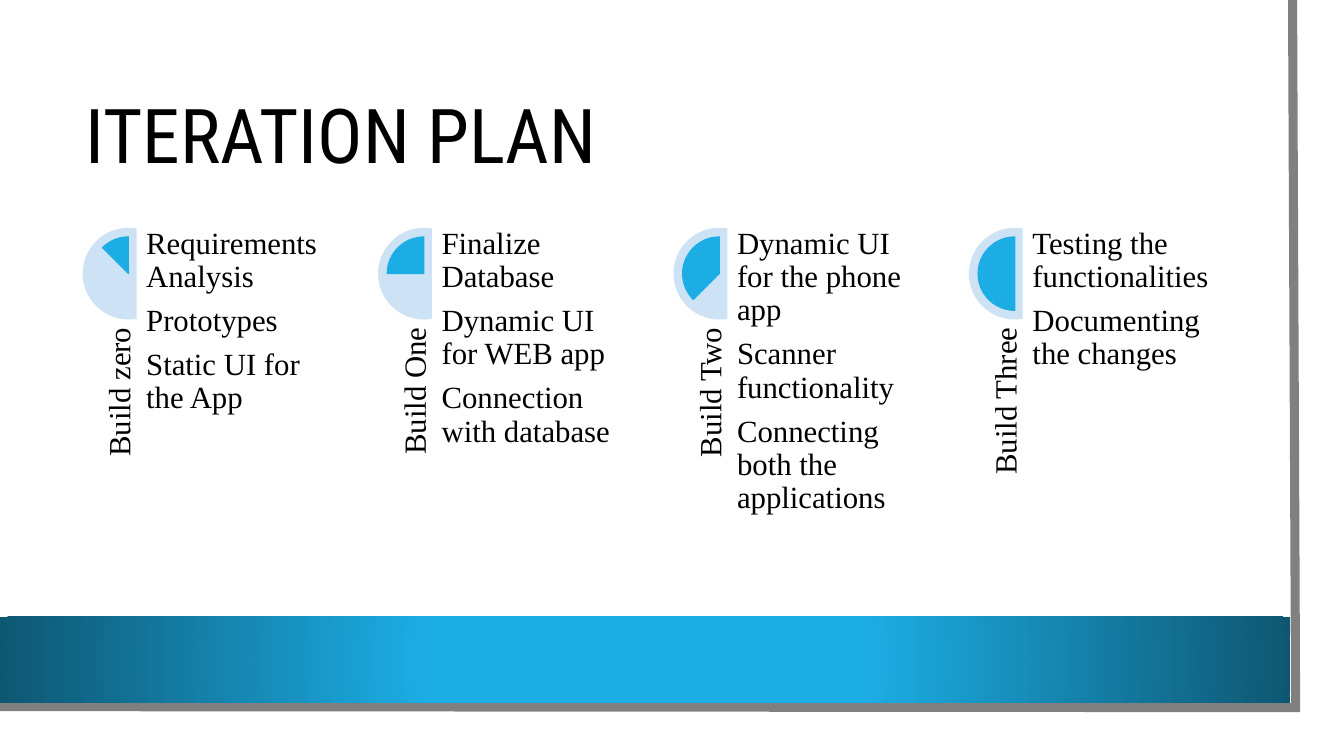
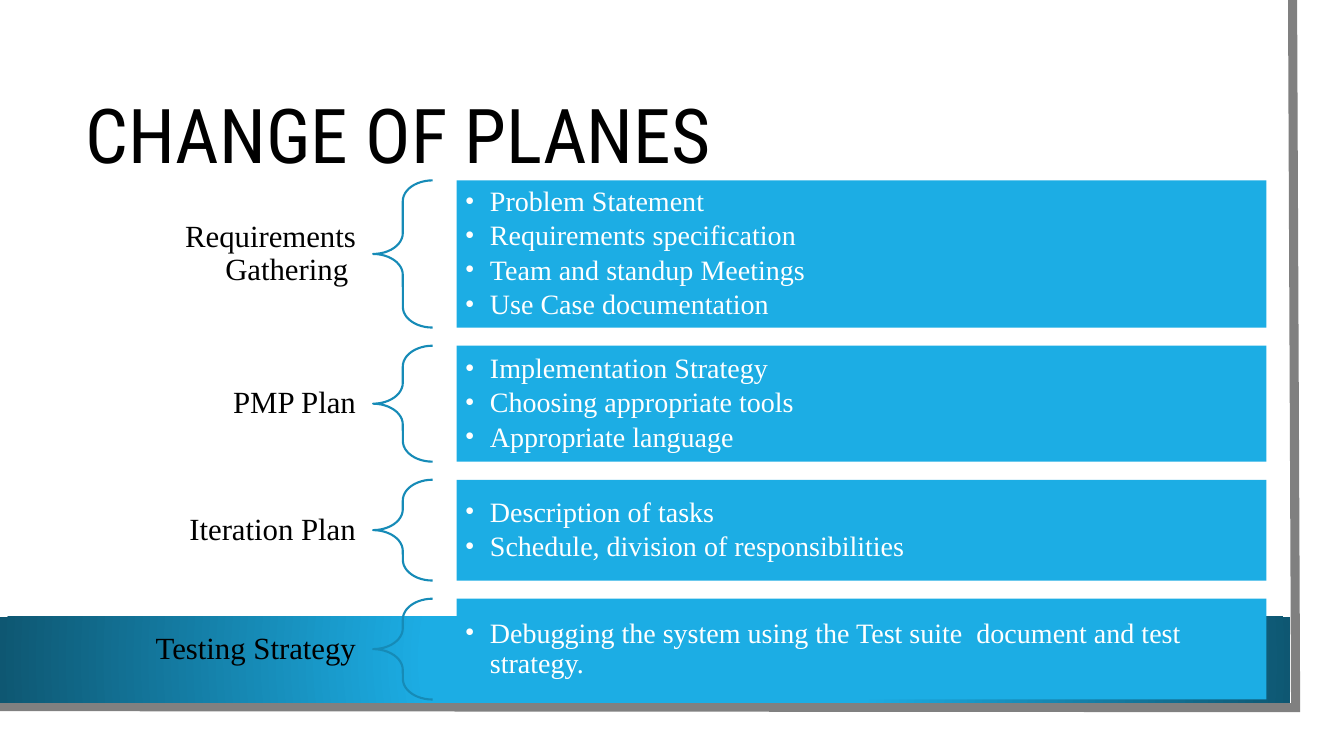
from lxml import etree
from pptx import Presentation
from pptx.dml.color import RGBColor
from pptx.enum.shapes import MSO_SHAPE
from pptx.enum.text import MSO_ANCHOR, MSO_AUTO_SIZE, PP_ALIGN
from pptx.oxml.ns import qn
from pptx.util import Inches, Pt

COLORS = {
    "page": "FFFFFF", "text": "000000", "light_text": "FFFFFF",
    "accent": "1CADE4", "accent_dark": "0E5772", "accent_pale": "CDE3F5",
    "brace": "168BB7", "frame": "808080",
}
TITLE_FONT = "Roboto Condensed"
BODY_FONT = "Times New Roman"

# Text styles: size in points, space after as a share of the size
TITLE = {"font": TITLE_FONT, "size": 54, "color": "text", "after": 0,
         "align": PP_ALIGN.LEFT, "bullet": False}
BODY = {"font": BODY_FONT, "size": 22, "color": "text", "after": 0.35,
        "align": PP_ALIGN.LEFT, "bullet": False}
LABEL = {**BODY, "align": PP_ALIGN.RIGHT}
BULLETS = {**BODY, "size": 20, "color": "light_text", "after": 0.15, "bullet": True}

BUILDS = [
    ("Build zero", ["Requirements Analysis", "Prototypes", "Static UI for the App"]),
    ("Build One", ["Finalize Database", "Dynamic UI for WEB app",
                   "Connection with database"]),
    ("Build Two", ["Dynamic UI for the phone app", "Scanner functionality",
                   "Connecting both the applications"]),
    ("Build Three", ["Testing the functionalities", "Documenting the changes"]),
]
PLANS = [
    ("Requirements Gathering ", 1.46,
     ["Problem Statement", "Requirements specification",
      "Team and standup Meetings", "Use Case documentation"]),
    ("PMP Plan", 1.15,
     ["Implementation Strategy", "Choosing appropriate tools", "Appropriate language"]),
    ("Iteration Plan", 1,
     ["Description of tasks", "Schedule, division of responsibilities"]),
    ("Testing Strategy", 1,
     ["Debugging the system using the Test suite  document and test strategy."]),
]


def rgb(name):
    return RGBColor.from_string(COLORS[name])


def set_attributes(target, values):
    for name, value in values.items():
        setattr(target, name, value)


def box_lengths(*values):
    return [Inches(value) for value in values]


def add_bullet(paragraph):
    properties = paragraph._p.get_or_add_pPr()
    properties.set("marL", str(Inches(0.25)))
    properties.set("indent", str(Inches(-0.25)))
    etree.SubElement(properties, qn("a:buFont")).set("typeface", BODY_FONT)
    etree.SubElement(properties, qn("a:buChar")).set("char", "•")


def write_text(shape, lines, style, anchor=MSO_ANCHOR.TOP, insets=(0, 0)):
    """Fill a shape with one paragraph per line; insets are (sides, top and bottom)."""
    frame = shape.text_frame
    side, edge = box_lengths(*insets)
    set_attributes(frame, {
        "word_wrap": True, "auto_size": MSO_AUTO_SIZE.NONE, "vertical_anchor": anchor,
        "margin_left": side, "margin_right": side,
        "margin_top": edge, "margin_bottom": edge})
    for index, line in enumerate(lines):
        paragraph = frame.add_paragraph() if index else frame.paragraphs[0]
        set_attributes(paragraph, {
            "alignment": style["align"], "line_spacing": 0.9, "space_before": Pt(0),
            "space_after": Pt(style["size"] * style["after"])})
        run = paragraph.add_run()
        run.text = line
        set_attributes(run.font, {"name": style["font"], "size": Pt(style["size"])})
        run.font.color.rgb = rgb(style["color"])
        if style["bullet"]:
            add_bullet(paragraph)


def add_text(slide, box, lines, style, **options):
    shape = slide.shapes.add_textbox(*box_lengths(*box))
    write_text(shape, lines, style, **options)
    return shape


def paint(shape, fill=None, line=None, width=0.75):
    shape.shadow.inherit = False
    if fill:
        shape.fill.solid()
        shape.fill.fore_color.rgb = rgb(fill)
    else:
        shape.fill.background()
    if line:
        shape.line.color.rgb = rgb(line)
        shape.line.width = Pt(width)
    else:
        shape.line.fill.background()


def add_shape(slide, kind, box, adjustments=(), **colors):
    shape = slide.shapes.add_shape(kind, *box_lengths(*box))
    for index, value in enumerate(adjustments):
        shape.adjustments[index] = value
    paint(shape, **colors)
    return shape


def apply_radial_gradient(shape):
    fill = shape.fill
    fill.gradient()
    stops = [(0.34, "accent"), (1, "accent_dark")]
    for stop, (position, color) in zip(fill.gradient_stops, stops):
        stop.position = position
        stop.color.rgb = rgb(color)
    linear = shape.element.spPr.find(".//" + qn("a:lin"))
    radial = etree.Element(qn("a:path"))
    radial.set("path", "circle")
    center = etree.SubElement(radial, qn("a:fillToRect"))
    for side in "ltrb":
        center.set(side, "50000")
    linear.getparent().replace(linear, radial)


def build_layout_frame(layout, slide):
    """Draw the page, its grey edge and the band, then move them to the layout."""
    page = add_shape(slide, MSO_SHAPE.RECTANGLE, (0, 0, 13.1, 7.27), fill="page")
    builder = slide.shapes.build_freeform(*box_lengths(12.82, 0))
    builder.add_line_segments(
        [box_lengths(12.85, 7.02), box_lengths(-0.03, 7.01)], close=False)
    edge = builder.convert_to_shape()
    paint(edge, line="frame", width=6.5)
    # Sharp corner
    outline = edge.element.spPr.find(qn("a:ln"))
    etree.SubElement(outline, qn("a:miter")).set("lim", "800000")
    band = add_shape(slide, MSO_SHAPE.RECTANGLE, (0, 6.12, 12.8, 0.85))
    apply_radial_gradient(band)
    for shape in (page, edge, band):
        layout.shapes.element.append(shape.element)


def add_titled_slide(presentation, layout, text):
    slide = presentation.slides.add_slide(layout)
    title = slide.shapes.title
    left, top, width, height = box_lengths(0.75, 0.75, 11.37, 1.26)
    set_attributes(title, {"left": left, "top": top, "width": width, "height": height})
    write_text(title, [text], TITLE, anchor=MSO_ANCHOR.MIDDLE, insets=(0.1, 0.05))
    return slide


def add_build_column(slide, left, top, label, tasks, progress):
    """One build: progress dial, upright label below it and tasks at its right."""
    dial, inset = 0.91, 0.09
    add_shape(slide, MSO_SHAPE.CHORD, (left, top, dial, dial), (48, 168),
              fill="accent_pale")
    # Angles are in units of 5/3 degree: 162 points up, 108 spans a half turn
    add_shape(slide, MSO_SHAPE.PIE,
              (left + inset, top + inset, dial - 2 * inset, dial - 2 * inset),
              (162 - 108 * progress, 162), fill="accent", line="accent")
    # The label box is laid flat around the centre of its upright strip
    strip_width, strip_height, strip_top = 0.54, 2.63, top + 0.99
    shift = (strip_height - strip_width) / 2
    upright = add_text(slide, (left - shift, strip_top + shift, strip_height, strip_width),
                       [label], LABEL, anchor=MSO_ANCHOR.BOTTOM)
    upright.rotation = 270
    add_text(slide, (left + 0.63, top, 1.81, 3.62), tasks, BODY)


def add_plan_row(slide, left, top, height, label, items):
    """One plan: label, brace and a bar of bullets."""
    label_width, label_height, brace_width, bar_gap = 2.95, 1, 0.59, 0.24
    add_text(slide, (left, top + (height - label_height) / 2, label_width, label_height),
             [label], LABEL, anchor=MSO_ANCHOR.MIDDLE, insets=(0.17, 0.06))
    brace_left = left + label_width
    add_shape(slide, MSO_SHAPE.LEFT_BRACE, (brace_left, top, brace_width, height),
              (0.35, 0.5), line="brace", width=1.5)
    bar = add_shape(slide, MSO_SHAPE.RECTANGLE,
                    (brace_left + brace_width + bar_gap, top, 8.03, height), fill="accent")
    write_text(bar, items, BULLETS, anchor=MSO_ANCHOR.MIDDLE, insets=(0.08, 0.08))


def fill_iteration_plan(slide):
    for index, (label, tasks) in enumerate(BUILDS):
        add_build_column(slide, 0.82 + 2.93 * index, 2.26, label, tasks,
                         (index + 1) / len(BUILDS))


def fill_change_of_plans(slide):
    top, gap = 1.79, 0.18
    for label, height, items in PLANS:
        add_plan_row(slide, 0.75, top, height, label, items)
        top += height + gap


def main():
    presentation = Presentation()
    set_attributes(presentation, {"slide_width": Inches(13.33), "slide_height": Inches(7.5)})
    layout = presentation.slide_layouts.get_by_name("Title Only")

    iteration_slide = add_titled_slide(presentation, layout, "ITERATION PLAN")
    build_layout_frame(layout, iteration_slide)
    fill_iteration_plan(iteration_slide)

    change_slide = add_titled_slide(presentation, layout, "CHANGE OF PLANES")
    fill_change_of_plans(change_slide)

    presentation.save("out.pptx")


if __name__ == "__main__":
    main()
